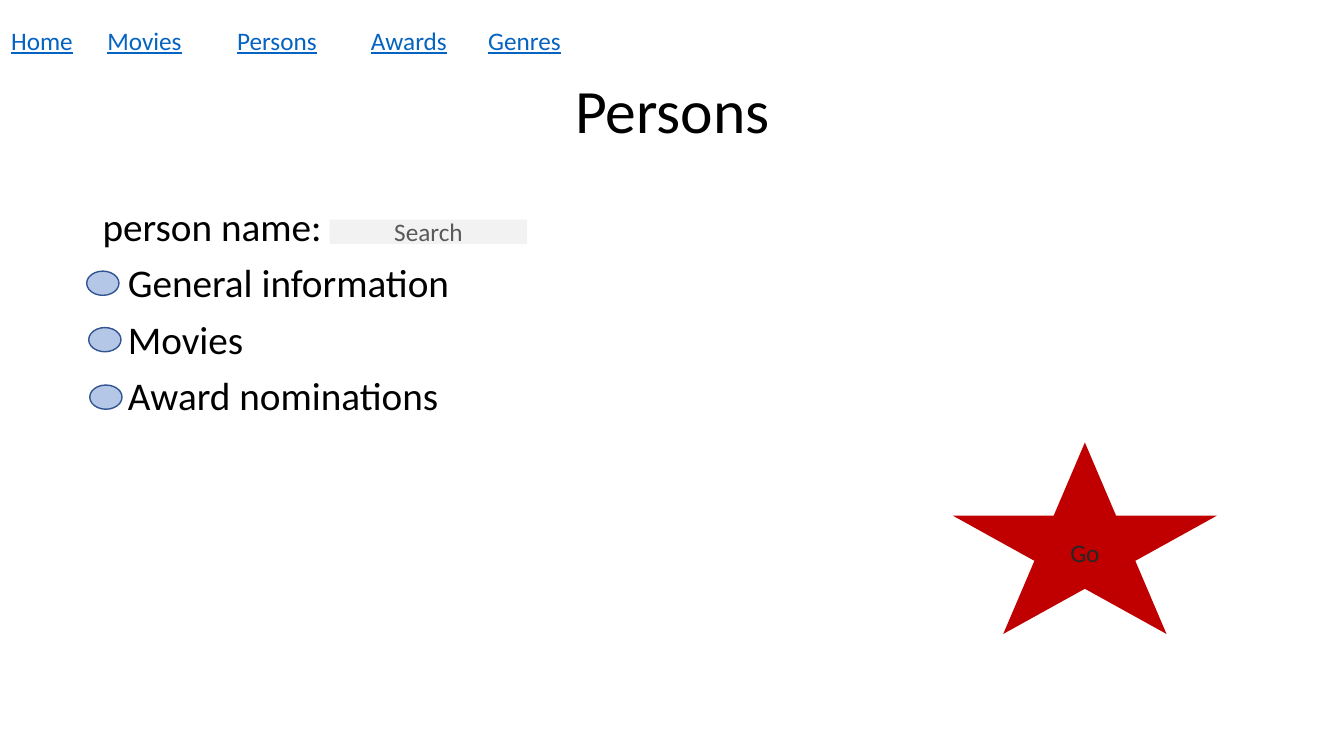
from lxml import etree
from pptx import Presentation
from pptx.dml.color import RGBColor
from pptx.enum.shapes import MSO_SHAPE
from pptx.enum.text import MSO_ANCHOR, PP_ALIGN
from pptx.oxml.ns import qn
from pptx.util import Pt

EMU_PER_PX = 9144
FONT = "Calibri"

BLACK = RGBColor(0x00, 0x00, 0x00)
LINK_BLUE = RGBColor(0x05, 0x63, 0xC1)
FIELD_GREY = RGBColor(0xF2, 0xF2, 0xF2)
HINT_GREY = RGBColor(0x59, 0x59, 0x59)
STAR_RED = RGBColor(0xC0, 0x00, 0x00)
STAR_TEXT = RGBColor(0x26, 0x26, 0x26)
OPTION_FILL = RGBColor(0xB4, 0xC7, 0xE7)
OPTION_LINE = RGBColor(0x32, 0x54, 0x91)

RECTANGLE = MSO_SHAPE.RECTANGLE
STAR = MSO_SHAPE.STAR_5_POINT
OVAL = MSO_SHAPE.OVAL
LEFT, CENTER, RIGHT = PP_ALIGN.LEFT, PP_ALIGN.CENTER, PP_ALIGN.RIGHT
TOP, MIDDLE = MSO_ANCHOR.TOP, MSO_ANCHOR.MIDDLE

NAVIGATION = [
    ("Home", 0, 82),
    ("Movies", 70, 120),
    ("Persons", 204, 120),
    ("Awards", 341, 112),
    ("Genres", 470, 96),
]
OPTIONS = [
    ("General information", 86, 269),
    ("Movies", 88, 325),
    ("Award nominations", 89, 382),
]


def px(*lengths):
    """Turn pixel lengths into EMU."""
    return [length * EMU_PER_PX for length in lengths]


def format_text(paragraph, size, color, alignment=LEFT, underline=None):
    """Align a paragraph and style its runs."""
    paragraph.alignment = alignment
    for run in paragraph.runs:
        run.font.name = FONT
        run.font.size = Pt(size)
        run.font.color.rgb = color
        run.font.underline = underline


def add_text(slide, box, text, size, color, alignment, anchor=TOP, underline=None):
    """Add a one-paragraph text box."""
    text_frame = slide.shapes.add_textbox(*px(*box)).text_frame
    text_frame.word_wrap = True
    text_frame.vertical_anchor = anchor
    text_frame.text = text
    format_text(text_frame.paragraphs[0], size, color, alignment, underline)
    return text_frame


def add_filled_shape(slide, kind, box, fill, line=None):
    """Add a flat preset shape, outlined when a line colour is given."""
    shape = slide.shapes.add_shape(kind, *px(*box))
    shape.shadow.inherit = False
    shape.fill.solid()
    shape.fill.fore_color.rgb = fill
    if line is None:
        shape.line.fill.background()
    else:
        shape.line.color.rgb = line
        shape.line.width = Pt(1)
    return shape


def add_button(slide, kind, box, fill, text, color):
    """Add a filled shape with a centred label."""
    text_frame = add_filled_shape(slide, kind, box, fill).text_frame
    text_frame.vertical_anchor = MIDDLE
    text_frame.text = text
    format_text(text_frame.paragraphs[0], 18, color, CENTER)


def add_bullet(paragraph, indent):
    """Give a paragraph a hanging bullet."""
    properties = paragraph._p.get_or_add_pPr()
    properties.set("marL", str(indent))
    properties.set("indent", str(-indent))
    font = etree.SubElement(properties, qn("a:buFont"))
    font.set("typeface", "Arial")
    bullet = etree.SubElement(properties, qn("a:buChar"))
    bullet.set("char", "•")


def add_search_options(slide):
    """Add the name prompt and the option list with its oval buttons."""
    box = (92, 201, 1150, 476)
    text_frame = add_text(slide, box, "person name:", 28, BLACK, LEFT)
    text_frame.paragraphs[0].line_spacing = 0.9
    for label, left, top in OPTIONS:
        paragraph = text_frame.add_paragraph()
        paragraph.text = label
        add_bullet(paragraph, *px(25))
        paragraph.line_spacing = 0.9
        paragraph.space_before = Pt(10)
        format_text(paragraph, 28, BLACK)
        add_filled_shape(slide, OVAL, (left, top, 32, 24), OPTION_FILL, OPTION_LINE)


def main():
    """Build the persons search slide."""
    presentation = Presentation()
    presentation.slide_width, presentation.slide_height = px(1333, 750)
    slide = presentation.slides.add_slide(presentation.slide_layouts[6])

    title = add_text(slide, (92, 40, 1150, 145), "Persons", 44, BLACK, CENTER, MIDDLE)
    title.paragraphs[0].line_spacing = 0.9
    add_search_options(slide)
    add_button(slide, RECTANGLE, (327, 218, 196, 24), FIELD_GREY, "Search", HINT_GREY)
    add_button(slide, STAR, (945, 439, 262, 190), STAR_RED, "Go", STAR_TEXT)
    for label, left, width in NAVIGATION:
        add_text(slide, (left, 20, width, 40), label, 18, LINK_BLUE, RIGHT, underline=True)

    presentation.save("out.pptx")


if __name__ == "__main__":
    main()
